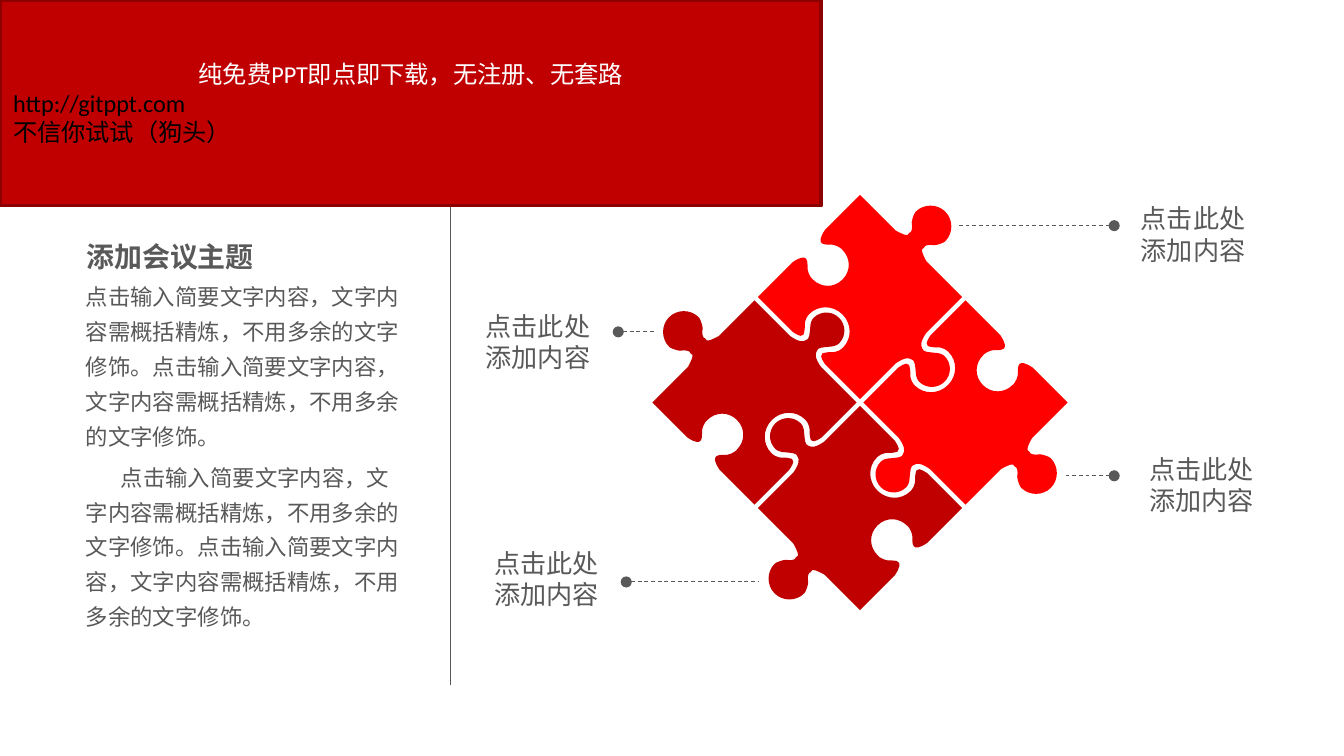
from lxml import etree
from pptx import Presentation
from pptx.dml.color import RGBColor
from pptx.enum.dml import MSO_LINE
from pptx.enum.shapes import MSO_CONNECTOR, MSO_SHAPE
from pptx.enum.text import MSO_ANCHOR, MSO_AUTO_SIZE, PP_ALIGN
from pptx.oxml.ns import qn
from pptx.util import Pt

STRAIGHT = MSO_CONNECTOR.STRAIGHT
RECTANGLE = MSO_SHAPE.RECTANGLE
DASH = MSO_LINE.DASH
TOP, MIDDLE = MSO_ANCHOR.TOP, MSO_ANCHOR.MIDDLE
LEFT, CENTER = PP_ALIGN.LEFT, PP_ALIGN.CENTER
NO_FIT = MSO_AUTO_SIZE.NONE

CJK, LATIN = "Noto Sans CJK SC", "Calibri"
GREY, RED, DARK_RED, EDGE_RED = "595959", "FF0000", "C00000", "8C0000"
WHITE, BLACK = "FFFFFF", "000000"

# Half of each edge profile, up to its symmetry axis: (along, outward), with
# every three points after the first forming one Bezier segment.
EDGE_UNIT = 0.36
HALF_EDGE = 76
OUTER_TAB = [(-23, 0), (-13, 3), (-9, 5), (-11, 8), (-9, 11), (-13, 15), (-17, 18),
             (-20, 22), (-22, 27), (-22, 29), (-22, 41), (-12, 51), (0, 51)]
INNER_TAB = [(-23, 0), (-12, 2), (-9, 5), (-8, 9), (-6, 12), (-10, 16), (-14, 21),
             (-18, 25), (-19, 29), (-19, 31), (-19, 42), (-10, 50), (0, 50)]
INNER_SOCKET = [(-24, 0), (-14, -2), (-14, -4), (-14, -6), (-14, -6), (-16, -10), (-19, -13),
                (-25, -18), (-25, -24), (-25, -26), (-25, -39), (-14, -50), (0, -50)]
OUTER_SOCKET = [(-24, 0), (-4, -4), (-13, -11), (-18, -16), (-23, -23), (-22, -28), (-22, -28),
                (-22, -40), (-13, -50), (0, -50)]
PIECE_EDGES = [OUTER_TAB, INNER_TAB, INNER_SOCKET, OUTER_SOCKET]


def color(hex_string):
    return RGBColor.from_string(hex_string)


def place(shape, box):
    shape.left, shape.top, shape.width, shape.height = (Pt(value) for value in box)


def set_frame(frame, margins, anchor=TOP, wrap=True):
    frame.auto_size = NO_FIT
    frame.word_wrap = wrap
    frame.vertical_anchor = anchor
    frame.margin_left = frame.margin_right = Pt(margins[0])
    frame.margin_top = frame.margin_bottom = Pt(margins[1])


def add_run(paragraph, text, size, hex_string, font_name=CJK, bold=False):
    run = paragraph.add_run()
    run.text = text
    run.font.size = Pt(size)
    run.font.name = font_name
    run.font.bold = bold
    run.font.color.rgb = color(hex_string)
    east_asian = etree.SubElement(run._r.get_or_add_rPr(), qn("a:ea"))
    east_asian.set("typeface", CJK)


def next_paragraph(frame, index):
    return frame.paragraphs[0] if index == 0 else frame.add_paragraph()


def add_line(slide, start, end, width, dashed=False):
    """Add a grey line; a dashed one starts with a dot."""
    connector = slide.shapes.add_connector(STRAIGHT, *(Pt(value) for value in start + end))
    connector.line.color.rgb = color(GREY)
    connector.line.width = Pt(width)
    if dashed:
        connector.line.dash_style = DASH
        etree.SubElement(connector.line._get_or_add_ln(), qn("a:headEnd"), type="oval")
    etree.SubElement(connector._element.spPr, qn("a:effectLst"))


def add_heading(slide, box, text):
    title = slide.shapes.title
    place(title, box)
    set_frame(title.text_frame, (7.2, 3.6))
    paragraph = title.text_frame.paragraphs[0]
    paragraph.alignment = CENTER
    add_run(paragraph, text, 15, GREY, bold=True)


def add_body(slide, box, texts, indents):
    body = slide.placeholders[1]
    place(body, box)
    set_frame(body.text_frame, (5, 2.9))
    for index, (text, indent) in enumerate(zip(texts, indents)):
        paragraph = next_paragraph(body.text_frame, index)
        properties = paragraph._p.get_or_add_pPr()
        properties.set("marL", "0")
        properties.set("indent", str(Pt(indent)))
        etree.SubElement(properties, qn("a:buNone"))
        paragraph.alignment = LEFT
        paragraph.line_spacing = 1.3
        paragraph.space_before = Pt(3 if index else 0)
        add_run(paragraph, text, 12, GREY)


def quarter_turn(x, y, turns):
    for _ in range(turns):
        x, y = -y, x
    return x, y


def piece_outline():
    """Return the top piece's Bezier points around its centre, clockwise from its top."""
    outline = []
    corner = (-HALF_EDGE, 0)
    for turns, profile in enumerate(PIECE_EDGES):
        half = [corner, corner, profile[0]] + profile
        edge = half + [(-along, outward) for along, outward in half[-2:0:-1]]
        for along, outward in edge:
            x = EDGE_UNIT * (HALF_EDGE + along + outward)
            y = EDGE_UNIT * (along - outward - HALF_EDGE)
            outline.append(quarter_turn(x, y, turns))
    return outline


def curve_segments(shape):
    """Turn every three line segments of a freeform into one Bezier segment."""
    lines = list(shape._element.iter(qn("a:lnTo")))
    for first in range(0, len(lines), 3):
        curve = etree.Element(qn("a:cubicBezTo"))
        lines[first].addprevious(curve)
        for line in lines[first:first + 3]:
            curve.append(line[0])
            line.getparent().remove(line)


def add_puzzle(slide, box, colors):
    """Place four interlocking pieces, each a quarter turn of the one before."""
    left, top, width, height = box
    center_x, center_y = left + width / 2, top + height / 2
    offset = height / 2 - HALF_EDGE * EDGE_UNIT * 2
    outline = piece_outline()
    for turns, hex_string in enumerate(colors):
        turned = [quarter_turn(x, y - offset, turns) for x, y in outline]
        points = [(Pt(center_x + x), Pt(center_y + y)) for x, y in turned]
        builder = slide.shapes.build_freeform(*points[0])
        builder.add_line_segments(points[1:] + points[:1], close=True)
        piece = builder.convert_to_shape()
        curve_segments(piece)
        piece.shadow.inherit = False
        piece.fill.solid()
        piece.fill.fore_color.rgb = color(hex_string)
        piece.line.fill.background()


def add_callout(slide, box, dot, line_end):
    """Place a two-line label and a dashed leader, both relative to the box."""
    left, top = box[:2]
    label = slide.shapes.add_textbox(*(Pt(value) for value in box))
    set_frame(label.text_frame, (5, 2.9), wrap=False)
    for index, text in enumerate(("点击此处", "添加内容")):
        add_run(next_paragraph(label.text_frame, index), text, 14, GREY)
    line_y = top + dot[1]
    add_line(slide, (left + dot[0], line_y), (left + line_end, line_y), 0.5, dashed=True)


def add_banner(slide, box):
    banner = slide.shapes.add_shape(RECTANGLE, *(Pt(value) for value in box))
    banner.shadow.inherit = False
    banner.fill.solid()
    banner.fill.fore_color.rgb = color(DARK_RED)
    banner.line.color.rgb = color(EDGE_RED)
    banner.line.width = Pt(2)
    set_frame(banner.text_frame, (7.2, 3.6), MIDDLE)
    lines = [("纯免费PPT即点即下载，无注册、无套路", CENTER, WHITE),
             ("http://gitppt.com", LEFT, BLACK),
             ("不信你试试（狗头）", LEFT, BLACK)]
    for index, (text, alignment, hex_string) in enumerate(lines):
        paragraph = next_paragraph(banner.text_frame, index)
        paragraph.alignment = alignment
        add_run(paragraph, text, 13, hex_string, LATIN)


def main():
    presentation = Presentation()
    presentation.slide_width, presentation.slide_height = Pt(720), Pt(405)
    slide = presentation.slides.add_slide(presentation.slide_layouts[1])
    add_puzzle(slide, (349.2, 104.4, 223, 222.5), [RED, RED, DARK_RED, DARK_RED])
    sentence = "点击输入简要文字内容，文字内容需概括精炼，不用多余的文字修饰。"
    add_body(slide, (41, 144.7, 182.9, 200.9), [sentence * 2] * 2, [0, 18.75])
    add_line(slide, (241.2, 367.2), (241.2, 102.2), 0.25)
    add_callout(slide, (255.2, 163.4, 67, 38.9), (76, 14.4), 95.4)
    add_callout(slide, (606.2, 105.8, 67, 38.9), (-9.3, 15.1), -93.6)
    add_callout(slide, (259.9, 290.2, 67, 38.9), (75.6, 21.6), 146.2)
    add_callout(slide, (610.6, 239.8, 67, 38.9), (-13.7, 15.1), -40.4)
    add_heading(slide, (31, 124.6, 120.2, 20.9), "添加会议主题")
    add_banner(slide, (0, 0, 439.9, 110.2))
    presentation.save("out.pptx")


if __name__ == "__main__":
    main()
